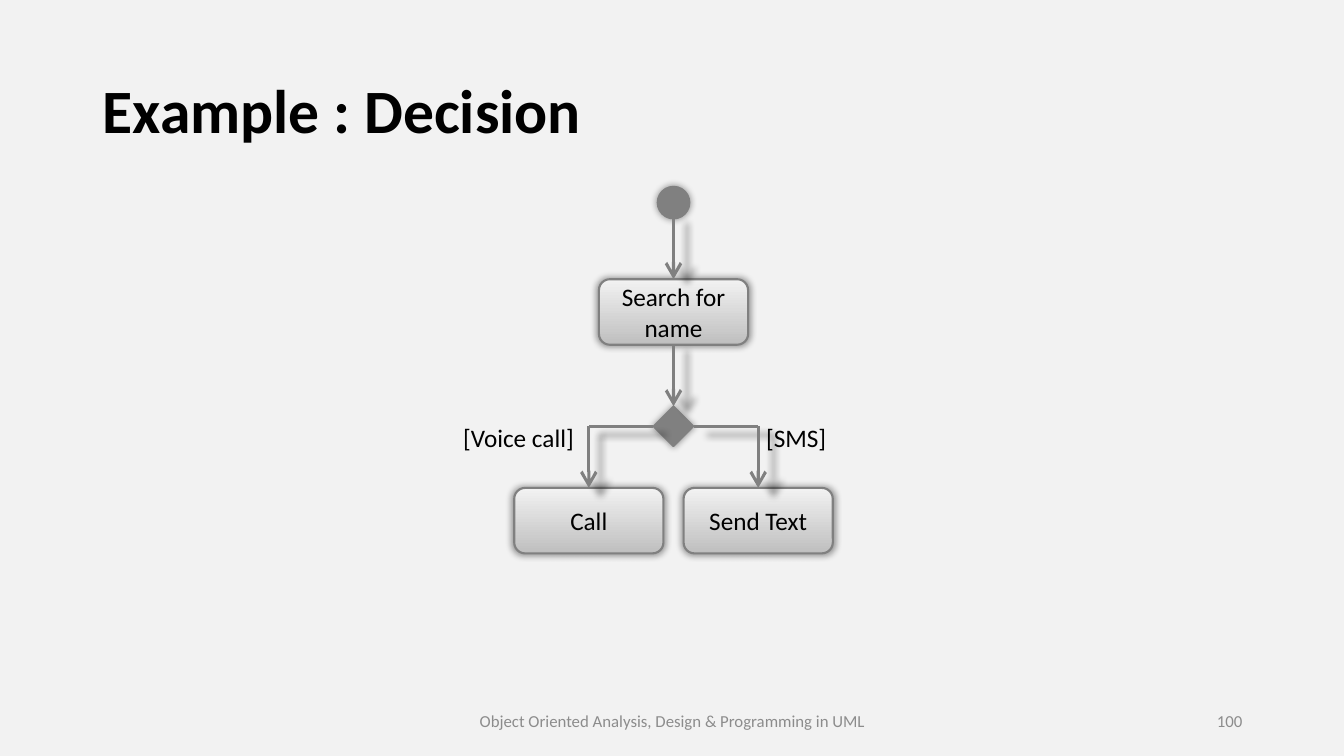
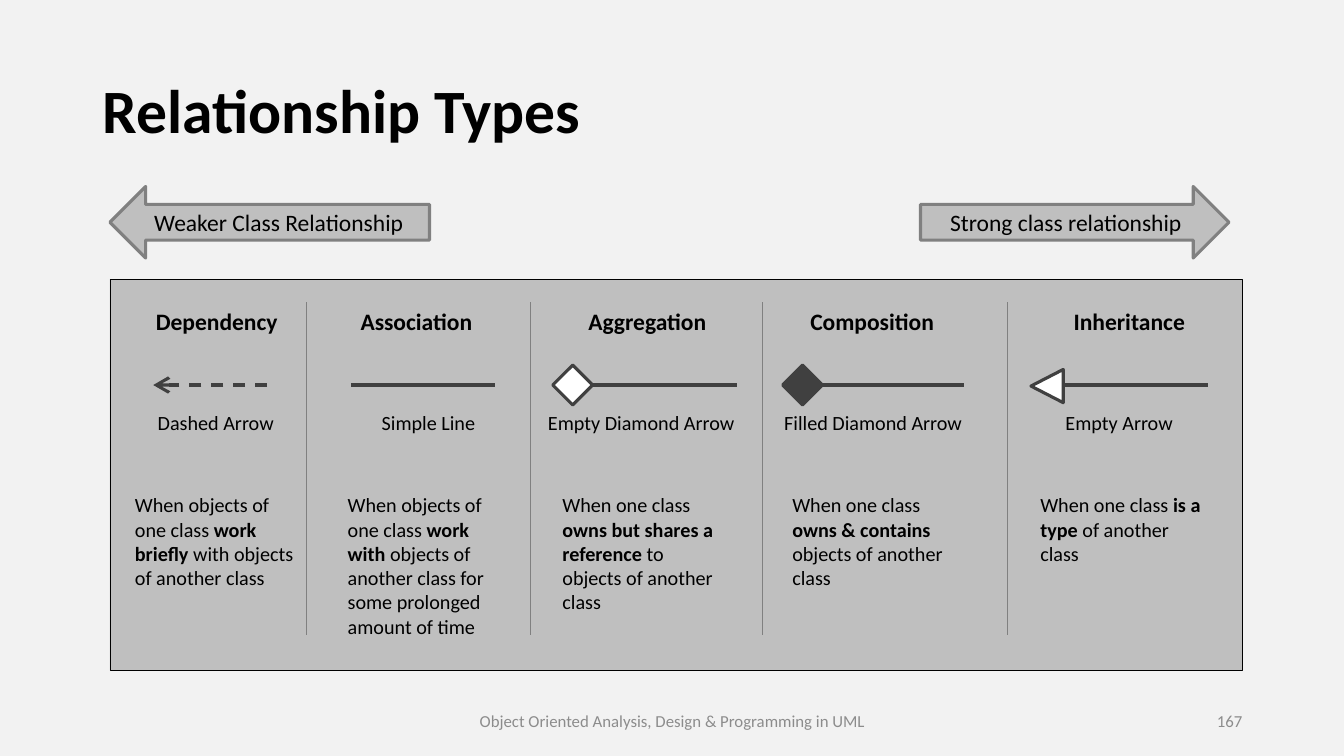
from dataclasses import dataclass
from typing import NamedTuple, Optional

from lxml import etree
from pptx import Presentation
from pptx.dml.color import RGBColor
from pptx.enum.dml import MSO_LINE
from pptx.enum.shapes import MSO_CONNECTOR, MSO_SHAPE as Preset
from pptx.enum.text import MSO_ANCHOR as Anchor, MSO_AUTO_SIZE, PP_ALIGN as Align
from pptx.oxml.ns import qn
from pptx.util import Inches, Pt

FONT = "Calibri"
COLORS = {
    "background": "F2F2F2",
    "panel": "BFBFBF",
    "mid": "808080",
    "symbol": "404040",
    "footer": "8C8C8C",
    "text": "000000",
    "white": "FFFFFF",
}


class Box(NamedTuple):
    left: float
    top: float
    width: float
    height: float

    def inches(self) -> tuple:
        return tuple(Inches(value) for value in self)


class Run(NamedTuple):
    text: str
    bold: bool = False


class Marker(NamedTuple):
    preset: Preset
    box: Box
    rotation: float
    fill: str


@dataclass
class Relationship:
    name: str
    name_left: float
    symbol: str
    symbol_center: float
    line_start: float
    line_end: float
    rule_left: float
    rule: list[Run]
    marker: Optional[Marker] = None
    dashed_arrow: bool = False


def rgb(name: str) -> RGBColor:
    return RGBColor.from_string(COLORS[name])


def set_shadow(shape, shadowed: bool) -> None:
    """Replace the theme's effects by a soft shadow or by none."""
    properties = shape._element.spPr
    effects = properties.find(qn("a:effectLst"))
    if effects is None:
        effects = etree.SubElement(properties, qn("a:effectLst"))
    if shadowed:
        outer = etree.SubElement(
            effects, qn("a:outerShdw"), blurRad=str(Pt(5)), sx="102000",
            sy="102000", algn="ctr", rotWithShape="0")
        black = etree.SubElement(outer, qn("a:srgbClr"), val=COLORS["text"])
        etree.SubElement(black, qn("a:alpha"), val="40000")


def write(frame, text: str | list[Run], *, size: float, bold: bool = False,
          color: str = "text", align: Align = Align.LEFT,
          anchor: Anchor = Anchor.TOP, spacing: Optional[float] = None) -> None:
    frame.word_wrap = True
    frame.vertical_anchor = anchor
    paragraph = frame.paragraphs[0]
    paragraph.alignment = align
    if spacing:
        paragraph.line_spacing = spacing
    for part in [Run(text, bold)] if isinstance(text, str) else text:
        run = paragraph.add_run()
        run.text = part.text
        run.font.name = FONT
        run.font.size = Pt(size)
        run.font.bold = part.bold
        run.font.color.rgb = rgb(color)


def add_text(slide, box: Box, text: str | list[Run], *, grow: bool = False,
             **style) -> None:
    label = slide.shapes.add_textbox(*box.inches())
    write(label.text_frame, text, **style)
    if grow:
        label.text_frame.auto_size = MSO_AUTO_SIZE.SHAPE_TO_FIT_TEXT


def add_figure(slide, preset: Preset, box: Box, *, fill: Optional[str],
               line: str, width: float, shadowed: bool = False):
    """Draw a preset shape; without a fill colour it gets the grey gradient."""
    figure = slide.shapes.add_shape(preset, *box.inches())
    if fill:
        figure.fill.solid()
        figure.fill.fore_color.rgb = rgb(fill)
    else:
        figure.fill.gradient()
        figure.fill.gradient_angle = 90
        for stop, color in zip(figure.fill.gradient_stops, ("panel", "background")):
            stop.color.rgb = rgb(color)
    figure.line.color.rgb = rgb(line)
    figure.line.width = Pt(width)
    figure.shadow.inherit = False
    set_shadow(figure, shadowed)
    return figure


def add_line(slide, start: tuple[float, float], end: tuple[float, float], *,
             color: str, width: float = 2.25, arrow: bool = False,
             dashed: bool = False, shadowed: bool = False):
    line = slide.shapes.add_connector(
        MSO_CONNECTOR.STRAIGHT, *(Inches(value) for value in (*start, *end)))
    line.line.color.rgb = rgb(color)
    line.line.width = Pt(width)
    if dashed:
        line.line.dash_style = MSO_LINE.DASH
    if arrow:
        etree.SubElement(line.line._get_or_add_ln(), qn("a:tailEnd"),
                         type="arrow", w="lg", len="lg")
    set_shadow(line, shadowed)
    return line


def add_page(deck, title: str, number: int):
    """Add a slide with the title and footer all slides share."""
    slide = deck.slides.add_slide(deck.slide_layouts[6])
    add_text(slide, Box(0.92, 0.4, 11.5, 1.45), title, size=44, bold=True,
             anchor=Anchor.MIDDLE, spacing=0.9)
    footer = dict(size=12, color="footer", anchor=Anchor.MIDDLE)
    add_text(slide, Box(4.42, 6.95, 4.5, 0.4),
             "Object Oriented Analysis, Design & Programming in UML",
             align=Align.CENTER, **footer)
    add_text(slide, Box(9.42, 6.95, 3, 0.4), str(number),
             align=Align.RIGHT, **footer)
    return slide


def add_activity(slide, center: float, top: float, text: str):
    width = 1.48
    activity = add_figure(
        slide, Preset.ROUNDED_RECTANGLE, Box(center - width / 2, top, width, 0.65),
        fill=None, line="mid", width=1.5, shadowed=True)
    write(activity.text_frame, text, size=18, align=Align.CENTER, anchor=Anchor.MIDDLE)
    return activity


def build_decision(deck) -> None:
    slide = add_page(deck, "Example : Decision", 100)
    axis, branch_y, action_y = 6.68, 4.23, 4.84
    node = dict(fill="mid", line="mid", width=1, shadowed=True)
    flow = dict(color="mid", shadowed=True)

    add_figure(slide, Preset.OVAL, Box(axis - 0.16, 1.85, 0.32, 0.32), **node)
    search = add_activity(slide, axis, 2.77, "Search for name")
    decision = add_figure(slide, Preset.DIAMOND,
                          Box(axis - 0.2, branch_y - 0.2, 0.4, 0.4), **node)
    add_line(slide, (axis, 2.17), (axis, 2.77), arrow=True, **flow).end_connect(search, 0)
    to_decision = add_line(slide, (axis, 3.42), (axis, 4.03), arrow=True, **flow)
    to_decision.begin_connect(search, 2)
    to_decision.end_connect(decision, 0)

    for side, site, text in ((-1, 1, "Call"), (1, 3, "Send Text")):
        center = axis + side * 0.84
        action = add_activity(slide, center, action_y, text)
        branch = add_line(slide, (axis + side * 0.2, branch_y), (center, branch_y), **flow)
        branch.begin_connect(decision, site)
        add_line(slide, (center, branch_y), (center, action_y),
                 arrow=True, **flow).end_connect(action, 0)

    for left, guard, align in ((7.5, "[SMS]", Align.LEFT),
                               (3.78, "[Voice call]", Align.RIGHT)):
        add_text(slide, Box(left, 4.14, 2.01, 0.4), guard, size=18, align=align, grow=True)


RELATIONSHIPS = [
    Relationship(
        "Dependency", 1.37, "Dashed Arrow", 2.14, 2.65, 1.52, 1.24,
        [Run("When objects of one class "), Run("work briefly ", True),
         Run("with objects of another class")], dashed_arrow=True),
    Relationship(
        "Association", 3.35, "Simple Line", 4.25, 3.48, 4.91, 3.35,
        [Run("When objects of one class "), Run("work with ", True),
         Run("objects of another class for some prolonged amount of time")]),
    Relationship(
        "Aggregation", 5.64, "Empty Diamond Arrow", 6.36, 5.87, 7.31, 5.48,
        [Run("When one class "), Run("owns but shares a reference ", True),
         Run("to objects of another class")],
        Marker(Preset.RECTANGLE, Box(5.54, 3.68, 0.28, 0.28), 45, "white")),
    Relationship(
        "Composition", 7.87, "Filled Diamond Arrow", 8.66, 8.12, 9.56, 7.76,
        [Run("When one class "), Run("owns & contains ", True),
         Run("objects of another class")],
        Marker(Preset.RECTANGLE, Box(7.82, 3.68, 0.28, 0.28), 45, "symbol")),
    Relationship(
        "Inheritance", 10.42, "Empty Arrow", 11.1, 10.54, 11.98, 10.22,
        [Run("When one class "), Run("is a type ", True), Run("of another class")],
        Marker(Preset.ISOSCELES_TRIANGLE, Box(10.22, 3.67, 0.33, 0.32), 270, "white")),
]


def add_relationship(slide, item: Relationship) -> None:
    line_y, symbol_width = 3.82, 2.2
    add_text(slide, Box(item.name_left, 3, 1.56, 0.38), item.name,
             size=16.8, bold=True, align=Align.CENTER, grow=True)
    add_line(slide, (item.line_start, line_y), (item.line_end, line_y),
             color="symbol", arrow=item.dashed_arrow, dashed=item.dashed_arrow)
    if item.marker:
        marker = add_figure(slide, item.marker.preset, item.marker.box,
                            fill=item.marker.fill, line="symbol", width=2.25)
        marker.rotation = item.marker.rotation
    add_text(slide, Box(item.symbol_center - symbol_width / 2, 4.02, symbol_width, 0.34),
             item.symbol, size=14.4, align=Align.CENTER, grow=True)
    add_text(slide, Box(item.rule_left, 4.84, 1.8, 1.56), item.rule, size=14.4, grow=True)


def build_relationships(deck) -> None:
    slide = add_page(deck, "Relationship Types", 167)
    add_figure(slide, Preset.RECTANGLE, Box(1.09, 2.77, 11.23, 3.88),
               fill="panel", line="text", width=0.5)
    for item in RELATIONSHIPS:
        add_relationship(slide, item)
    for divider_x in (3.04, 5.26, 7.56, 9.99):
        add_line(slide, (divider_x, 3), (divider_x, 6.3), color="mid", width=0.25)
    for preset, left, width, text in (
            (Preset.RIGHT_ARROW, 9.13, 3.06, "Strong class relationship"),
            (Preset.LEFT_ARROW, 1.09, 3.17, "Weaker Class Relationship")):
        strength = add_figure(slide, preset, Box(left, 1.85, width, 0.71),
                              fill="panel", line="mid", width=2.25)
        write(strength.text_frame, text, size=16.8, align=Align.CENTER,
              anchor=Anchor.MIDDLE)


def main() -> None:
    deck = Presentation()
    deck.slide_width, deck.slide_height = Inches(13.33), Inches(7.5)
    backdrop = deck.slide_master.background.fill
    backdrop.solid()
    backdrop.fore_color.rgb = rgb("background")
    build_decision(deck)
    build_relationships(deck)
    deck.save("out.pptx")


if __name__ == "__main__":
    main()
